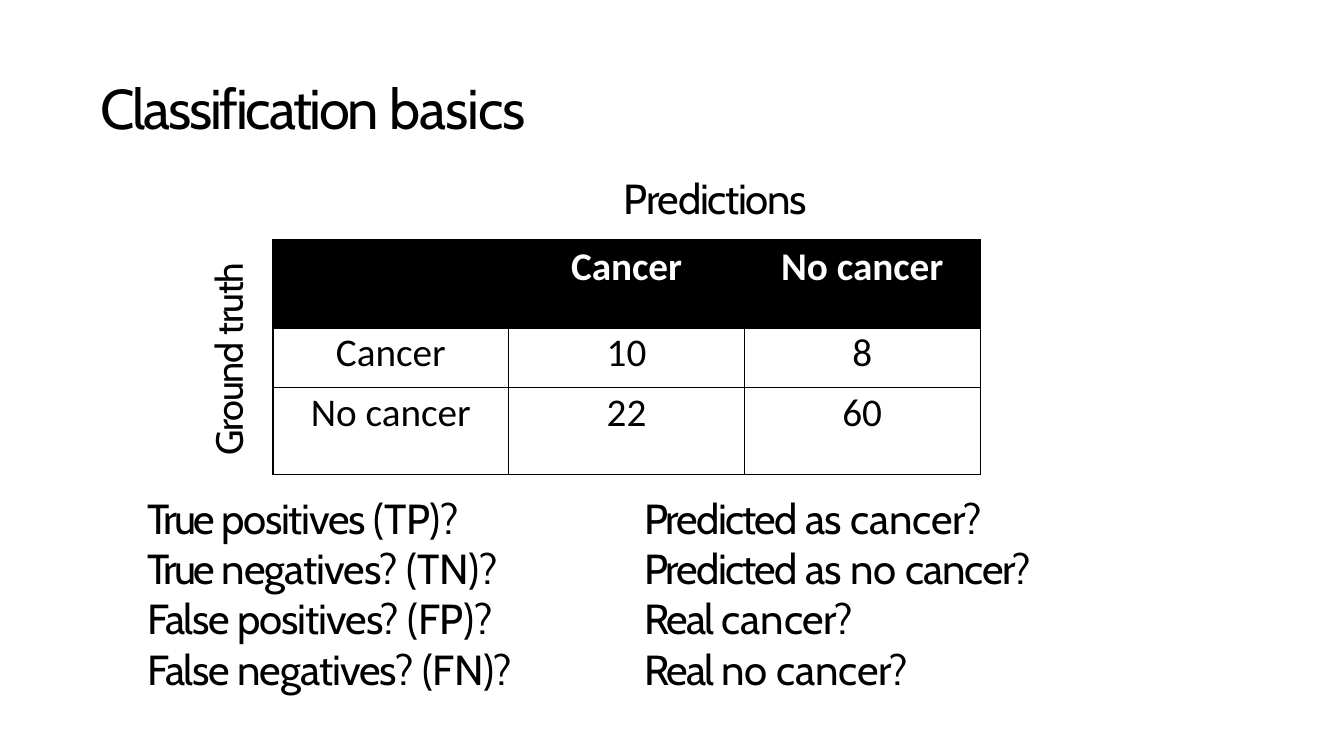
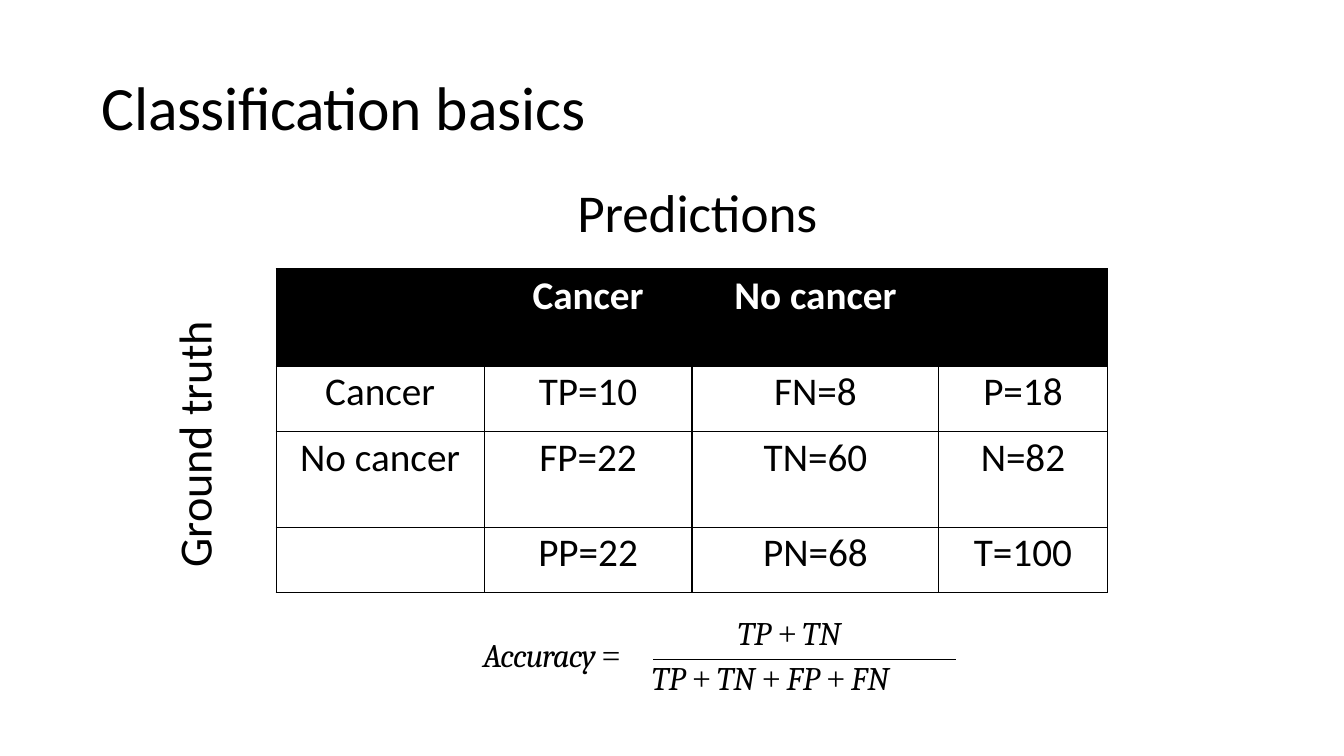
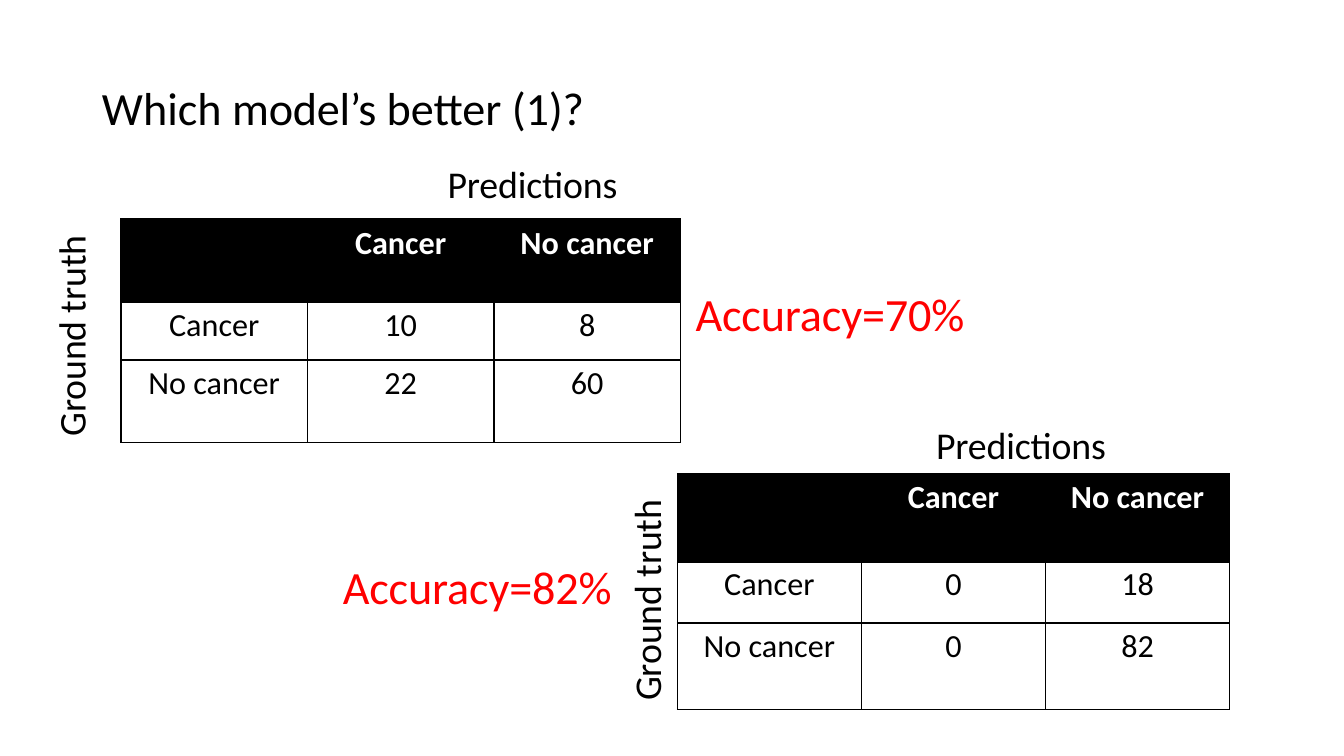
from lxml import etree
from pptx import Presentation
from pptx.dml.color import RGBColor
from pptx.enum.shapes import MSO_CONNECTOR as Link
from pptx.enum.text import MSO_ANCHOR as Anchor, MSO_AUTO_SIZE as Fit, PP_ALIGN as Align
from pptx.oxml.ns import qn
from pptx.util import Cm, Pt

HUES = {"ink": "000000", "paper": "FFFFFF", "alert": "FF0000"}
BARE = "{2D5ABB26-0587-4C30-8999-92F81FD0307C}"
TRUTH = [("Ground truth", -0.1)]
PREDS = [("Predictions", -0.1)]
# Letter spacing in the formula, by word
TIGHT = {"+": -1.7, "=": -0.5, "Accuracy": -0.9}


def hue(name):
    return RGBColor.from_string(HUES[name])


def style(run, size, face="Calibri", color="ink", gap=0, bold=False, slant=False):
    font = run.font
    font.size, font.name = Pt(size), face
    font.bold, font.italic = bold, slant
    font.color.rgb = hue(color)
    if gap:
        run._r.get_or_add_rPr().set("spc", str(round(gap * 100)))


def write(par, parts, size, face="Calibri", color="ink"):
    """Fill a paragraph with (text, letter spacing) parts."""
    for text, gap in parts:
        run = par.add_run()
        run.text = text
        style(run, size, face, color, gap)


def setup(shape, box, top=0.03, left=0):
    """Place a shape and clear its insets; return its text frame."""
    shape.left, shape.top, shape.width, shape.height = map(Cm, box)
    frame = shape.text_frame
    frame.word_wrap, frame.auto_size = True, Fit.NONE
    frame.vertical_anchor = Anchor.TOP
    frame.margin_left, frame.margin_top = Cm(left), Cm(top)
    frame.margin_right = frame.margin_bottom = 0
    return frame


def title(slide, parts, size, face="Calibri", box=(1.27, 1.55, 31.32, 2.31), top=0.18, left=1.3):
    par = setup(slide.shapes.title, box, top, left).paragraphs[0]
    par.alignment = Align.LEFT
    write(par, parts, size, face)


def listing(shape, box, lines, size, face):
    """Fill a body placeholder with unbulleted lines."""
    frame = setup(shape, box)
    for i, parts in enumerate(lines):
        par = frame.add_paragraph() if i else frame.paragraphs[0]
        props = par._p.get_or_add_pPr()
        props.set("marL", "0")
        props.set("indent", "0")
        etree.SubElement(props, qn("a:buNone"))
        par.space_before = Pt(0)
        write(par, parts, size, face)


def frame_at(slide, box, top=0.03):
    return setup(slide.shapes.add_textbox(0, 0, 0, 0), box, top)


def label(slide, box, parts, size, face="Calibri", color="ink"):
    write(frame_at(slide, box).paragraphs[0], parts, size, face, color)


def upright(slide, box, parts, size, lead, face="Calibri"):
    """Add a label that reads from bottom to top."""
    frame = frame_at(slide, box, 0)
    frame._txBody.bodyPr.set("vert", "vert270")
    par = frame.paragraphs[0]
    par.line_spacing = Pt(lead)
    write(par, parts, size, face)


def maths(slide, box, text):
    par = frame_at(slide, box, 0.05).paragraphs[0]
    words = text.split()
    for i, word in enumerate(words):
        run = par.add_run()
        run.text = word + " " * (i < len(words) - 1)
        sign = word in "+="
        style(run, 23.5, "Times New Roman" if sign else "Cambria",
              gap=TIGHT.get(word, 0), slant=not sign)


def rule(slide, x, y, end):
    line = slide.shapes.add_connector(Link.STRAIGHT, Cm(x), Cm(y), Cm(end), Cm(y))
    line.line.color.rgb, line.line.width = hue("ink"), Pt(0.94)
    etree.SubElement(line._element.spPr, qn("a:effectLst"))


def edge(cell):
    props = cell._tc.get_or_add_tcPr()
    for i, side in enumerate(("lnL", "lnR", "lnT", "lnB")):
        line = etree.Element(qn("a:" + side), w=str(Pt(1)))
        fill = etree.SubElement(line, qn("a:solidFill"))
        etree.SubElement(fill, qn("a:srgbClr"), val=HUES["ink"])
        props.insert(i, line)


def matrix(slide, x, y, cols, rows, size):
    """Add a confusion matrix; each row is (height, top inset, texts)."""
    high = sum(row[0] for row in rows)
    shape = slide.shapes.add_table(len(rows), len(cols), Cm(x), Cm(y), Cm(sum(cols)), Cm(high))
    table = shape.table
    table.first_row = table.horz_banding = False
    table._tbl.tblPr.find(qn("a:tableStyleId")).text = BARE
    for col, wide in zip(table.columns, cols):
        col.width = Cm(wide)
    for r, (tall, top, texts) in enumerate(rows):
        table.rows[r].height = Cm(tall)
        for c, text in enumerate(texts):
            cell = table.cell(r, c)
            cell.margin_left = cell.margin_right = cell.margin_bottom = 0
            cell.margin_top = Cm(top)
            if r:
                cell.fill.background()
            else:
                cell.fill.solid()
                cell.fill.fore_color.rgb = hue("ink")
            edge(cell)
            if text:
                par = cell.text_frame.paragraphs[0]
                par.text = text
                par.alignment = Align.CENTER
                style(par.runs[0], size, color="ink" if r else "paper", bold=not r)


def counts(highs, tops, sick, well):
    """Return the rows of a two-class matrix."""
    texts = [("", "Cancer", "No cancer"), ("Cancer", *sick), ("No cancer", *well)]
    return list(zip(highs, tops, texts))


def basics(deck):
    slide = deck.slides.add_slide(deck.slide_layouts[3])
    face = "Cabin"
    title(slide, [("Classification ", -1.6), ("basics", -0.8)], 40, face,
          (2.54, 1.83, 11.61, 1.75), 0.03, 0)
    matrix(slide, 6.88, 6.05, [5.94] * 3,
           counts((2.22, 1.49, 2.2), (0.08, 0.03, 0.05), ("10", "8"), ("22", "60")), 28)
    label(slide, (15.72, 4.32, 5, 1.35), [("Predictions", -0.9)], 30, face)
    upright(slide, (5.38, 6.12, 1.02, 5.36), [("Ground ", -0.9), ("truth", -1)], 27, 26.5, face)
    rates = [
        [("True ", -1.9), ("positives ", -1), ("(TP)?", -0.1)],
        [("True ", -1.9), ("negatives? ", -0.7), ("(TN)?", -0.1)],
        [("False ", -1.1), ("positives? ", -0.8), ("(FP)?", -0.1)],
        [("False ", -1.1), ("negatives? ", -0.7), ("(FN)?", -0.1)],
    ]
    totals = [
        [("Predicted ", -1.3), ("as ", -0.6), ("cancer?", -0.1)],
        [("Predicted ", -1.3), ("as ", -0.6), ("no ", -0.5), ("cancer?", -0.8)],
        [("Real ", -1.4), ("cancer?", -0.1)],
        [("Real ", -1.4), ("no ", -0.5), ("cancer?", -0.1)],
    ]
    holders = slide.placeholders
    listing(holders[1], (3.71, 12.37, 9.78, 5.16), rates, 30, face)
    listing(holders[2], (16.23, 12.37, 10.34, 5.16), totals, 30, face)


def formula(deck):
    slide = deck.slides.add_slide(deck.slide_layouts[5])
    title(slide, [("Classification ", -0.3), ("basics", -0.1)], 44)
    rows = [
        (2.46, 0.08, ("", "Cancer", "No cancer", "")),
        (1.63, 0.03, ("Cancer", "TP=10", "FN=8", "P=18")),
        (2.42, 0.08, ("No cancer", "FP=22", "TN=60", "N=82")),
        (1.65, 0.05, ("", "PP=22", "PN=68", "T=100")),
    ]
    matrix(slide, 6.96, 6.78, [5.24, 5.24, 6.22, 4.24], rows, 28)
    label(slide, (14.55, 4.5, 6.2, 1.68), PREDS, 38)
    upright(slide, (4.19, 7.72, 1.5, 6.58), [("Ground ", 0), ("truth", -0.2)], 33, 39)
    maths(slide, (12.17, 15.95, 4.04, 1.07), "Accuracy =")
    maths(slide, (18.59, 15.39, 3.4, 1.07), "TP + TN")
    rule(slide, 16.46, 16.61, 24.1)
    maths(slide, (16.43, 16.51, 7.75, 1.07), "TP + TN + FP + FN")


def compare(deck):
    slide = deck.slides.add_slide(deck.slide_layouts[5])
    title(slide, [("Which ", 0), ("model’s ", -0.2), ("better ", 0), ("(1)?", -0.2)], 33, top=0.46)
    first = counts((2.11, 1.45, 2.08), (0.13, 0.08, 0.1), ("10", "8"), ("22", "60"))
    second = counts((2.24, 1.52, 2.18), (0.1, 0.05, 0.1), ("0", "18"), ("0", "82"))
    models = [
        (3.05, 5.51, 4.7, first, (1.22, 5.69), (11.28, 4.01), (17.53, 7.16), "70%"),
        (17.07, 11.94, 4.64, second, (15.72, 12.35), (23.59, 10.59), (8.64, 14.05), "82%"),
    ]
    for x, y, wide, rows, side, head, note, score in models:
        matrix(slide, x, y, [wide] * 3, rows, 23)
        upright(slide, (*side, 1.24, 5.31), TRUTH, 27, 32.1)
        label(slide, (*head, 4.6, 1.2), PREDS, 27)
        label(slide, (*note, 7.1, 1.45), [("Accuracy=" + score, -0.1)], 33, color="alert")


def main():
    deck = Presentation()
    deck.slide_width, deck.slide_height = Cm(33.87), Cm(19.05)
    for build in (basics, formula, compare):
        build(deck)
    deck.save("out.pptx")


if __name__ == "__main__":
    main()
